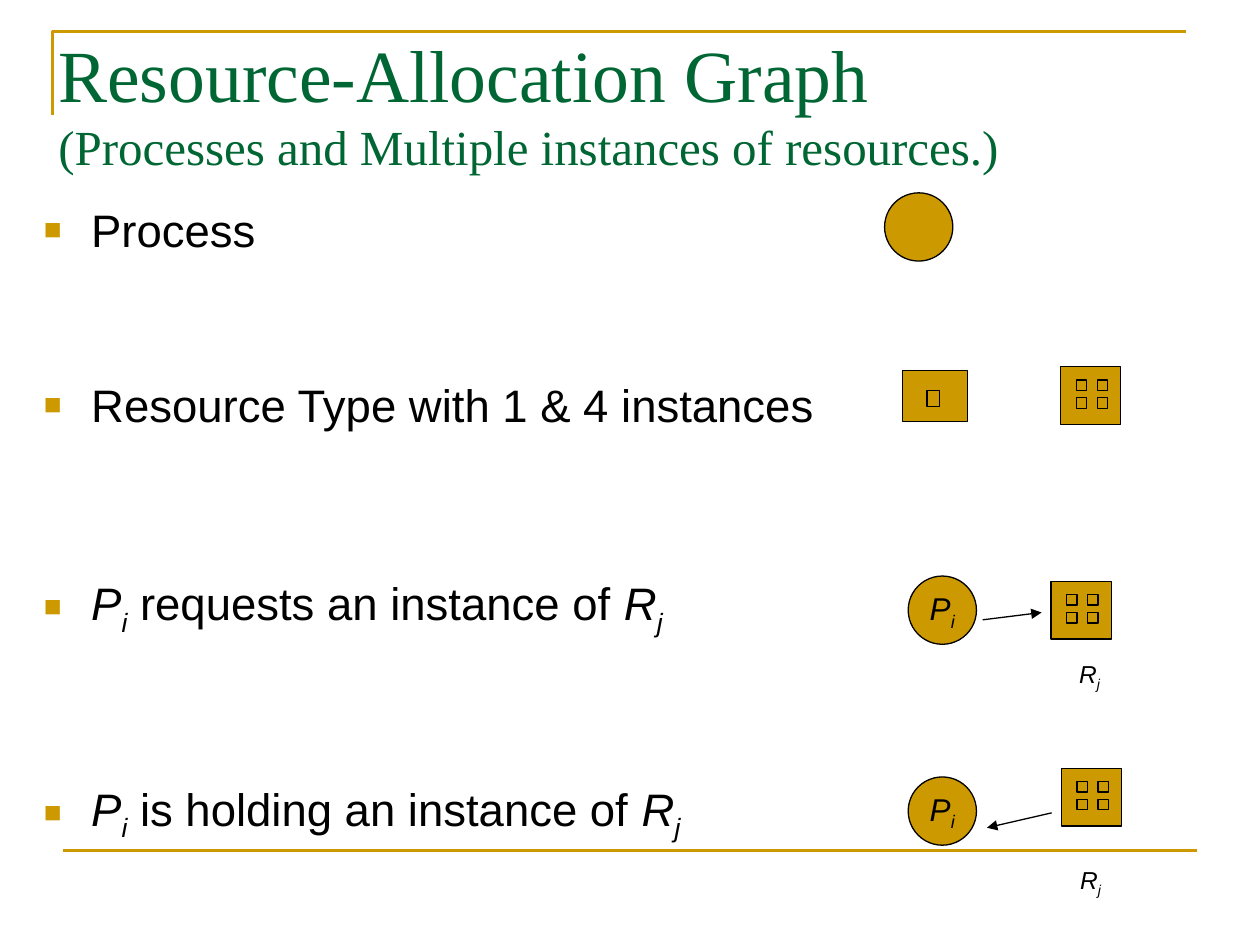
from pptx import Presentation
from pptx.dml.color import RGBColor
from pptx.enum.shapes import MSO_CONNECTOR, MSO_SHAPE
from pptx.enum.text import MSO_ANCHOR, PP_ALIGN
from pptx.oxml.ns import qn
from pptx.util import Pt
from lxml import etree

STRAIGHT = MSO_CONNECTOR.STRAIGHT
OVAL, RECT = MSO_SHAPE.OVAL, MSO_SHAPE.RECTANGLE
TOP, MIDDLE = MSO_ANCHOR.TOP, MSO_ANCHOR.MIDDLE
CENTER = PP_ALIGN.CENTER
GOLD, GREEN, BLACK = "CC9900", "006633", "000000"
SANS, SERIF = "Arial", "Times New Roman"


def rgb(color):
    """Turn a hex string into a colour."""
    return RGBColor.from_string(color)


def add_text(p, text, size=26, font=SANS, color=BLACK, italic=False, sub=False):
    """Append a formatted run to a paragraph."""
    r = p.add_run()
    r.text = text
    r.font.size, r.font.name, r.font.italic = Pt(size), font, italic
    r.font.color.rgb = rgb(color)
    if sub:
        r.font._element.set("baseline", "-25000")


def add_symbol(p, name, index, size=26):
    """Append an italic letter with its subscript."""
    add_text(p, name, size, italic=True)
    add_text(p, index, size, italic=True, sub=True)


def add_box(s, x, y, w, h, wrap=True, anchor=TOP):
    """Add a text box and return its text frame."""
    tf = s.shapes.add_textbox(Pt(x), Pt(y), Pt(w), Pt(h)).text_frame
    tf.word_wrap, tf.vertical_anchor = wrap, anchor
    return tf


def add_figure(shapes, kind, x, y, w, h):
    """Add a gold shape with a thin black outline."""
    sp = shapes.add_shape(kind, Pt(x), Pt(y), Pt(w), Pt(h))
    sp.shadow.inherit = False
    sp.fill.solid()
    sp.fill.fore_color.rgb = rgb(GOLD)
    sp.line.color.rgb, sp.line.width = rgb(BLACK), Pt(0.75)
    return sp


def add_line(s, x1, y1, x2, y2, color=BLACK, width=0.75, arrow=False):
    """Add a straight line, with an arrowhead at its end if asked."""
    line = s.shapes.add_connector(STRAIGHT, Pt(x1), Pt(y1), Pt(x2), Pt(y2))
    line.line.color.rgb, line.line.width = rgb(color), Pt(width)
    if arrow:
        etree.SubElement(line.line._get_or_add_ln(), qn("a:tailEnd"), type="triangle")
    etree.SubElement(line._element.spPr, qn("a:effectLst"))


def add_bullet(p):
    """Give a paragraph a gold square bullet and a hanging indent."""
    pPr = p._p.get_or_add_pPr()
    pPr.set("marL", str(Pt(27)))
    pPr.set("indent", str(-Pt(27)))
    clr = etree.SubElement(pPr, qn("a:buClr"))
    etree.SubElement(clr, qn("a:srgbClr"), val=GOLD)
    etree.SubElement(pPr, qn("a:buSzPct"), val="65000")
    etree.SubElement(pPr, qn("a:buFont"), typeface=SANS)
    etree.SubElement(pPr, qn("a:buChar"), char="■")


def add_frame(s, x, y, w, h):
    """Draw the corner rule above the title and the rule at the foot."""
    builder = s.shapes.build_freeform(Pt(x), Pt(y + 48))
    builder.add_line_segments([(Pt(x), Pt(y)), (Pt(x + w), Pt(y))], close=False)
    sp = builder.convert_to_shape()
    sp.shadow.inherit = False
    sp.fill.background()
    sp.line.color.rgb, sp.line.width = rgb(GOLD), Pt(1.5)
    add_line(s, x + 6, y + h, x + 6 + w, y + h, GOLD, 1.5)


def add_title(s, x, y, w, h):
    """Write the title and its subtitle."""
    tf = add_box(s, x, y, w, h)
    add_text(tf.paragraphs[0], "Resource-Allocation Graph", 42, SERIF, GREEN)
    p = tf.add_paragraph()
    add_text(p, "(Processes and Multiple instances of resources.)", 28, SERIF, GREEN)


def add_body(s, x, y, w, h):
    """Write the four bulleted legends."""
    tf = add_box(s, x, y, w, h)
    for gap, plain, relation in [
        (0, "Process", False),
        (69, "Resource Type with 1 & 4 instances", False),
        (82, " requests an instance of ", True),
        (82, " is holding an instance of ", True),
    ]:
        p = tf.add_paragraph() if gap else tf.paragraphs[0]
        if gap:
            p.space_before = Pt(gap)
        add_bullet(p)
        if relation:
            add_symbol(p, "P", "i")
        add_text(p, plain)
        if relation:
            add_symbol(p, "R", "j")


def add_process(s, x, y, labelled=True):
    """Draw a process circle, labelled if asked."""
    sp = add_figure(s.shapes, OVAL, x, y, 39, 39)
    if labelled:
        tf = sp.text_frame
        tf.word_wrap, tf.vertical_anchor = False, MIDDLE
        tf.paragraphs[0].alignment = CENTER
        add_symbol(tf.paragraphs[0], "P", "i", 18)


def add_resource(s, x, y):
    """Draw a resource type with a two by two grid of instances."""
    group = s.shapes.add_group_shape()
    add_figure(group.shapes, RECT, x, y, 34.5, 33)
    for row in range(2):
        for col in range(2):
            add_figure(group.shapes, RECT, x + 9 + 12 * col, y + 7.6 + 10.2 * row, 6, 6)


def add_single_resource(s, x, y):
    """Draw a resource type with one instance."""
    add_figure(s.shapes, RECT, x, y, 37, 29)
    add_figure(s.shapes, RECT, x + 14, y + 11.3, 7, 9.5)


def add_resource_label(s, x, y):
    """Write the name of a resource."""
    p = add_box(s, x, y, 36, 26.5, False, MIDDLE).paragraphs[0]
    p.alignment = CENTER
    add_symbol(p, "R", "j", 14)


def main():
    """Build the slide and save it."""
    prs = Presentation()
    prs.slide_width, prs.slide_height = Pt(720), Pt(540)
    s = prs.slides.add_slide(prs.slide_layouts[6])
    add_frame(s, 30, 18, 648, 468)
    add_title(s, 26.3, 12.8, 693.7, 93)
    add_body(s, 18, 111.8, 481, 372)
    add_process(s, 505.5, 110.2, labelled=False)
    add_single_resource(s, 515.7, 211.7)
    add_resource(s, 606, 209.5)
    for circle_y, resource, arrow, label in [
        (329.2, (600.5, 332.2), (561.5, 354.2, 595.2, 350), (604.7, 373)),
        (444, (606.5, 439), (601, 464.5, 564, 473), (605.2, 490.5)),
    ]:
        add_process(s, 519, circle_y)
        add_resource(s, *resource)
        add_line(s, *arrow, arrow=True)
        add_resource_label(s, *label)
    prs.save("out.pptx")


if __name__ == "__main__":
    main()
